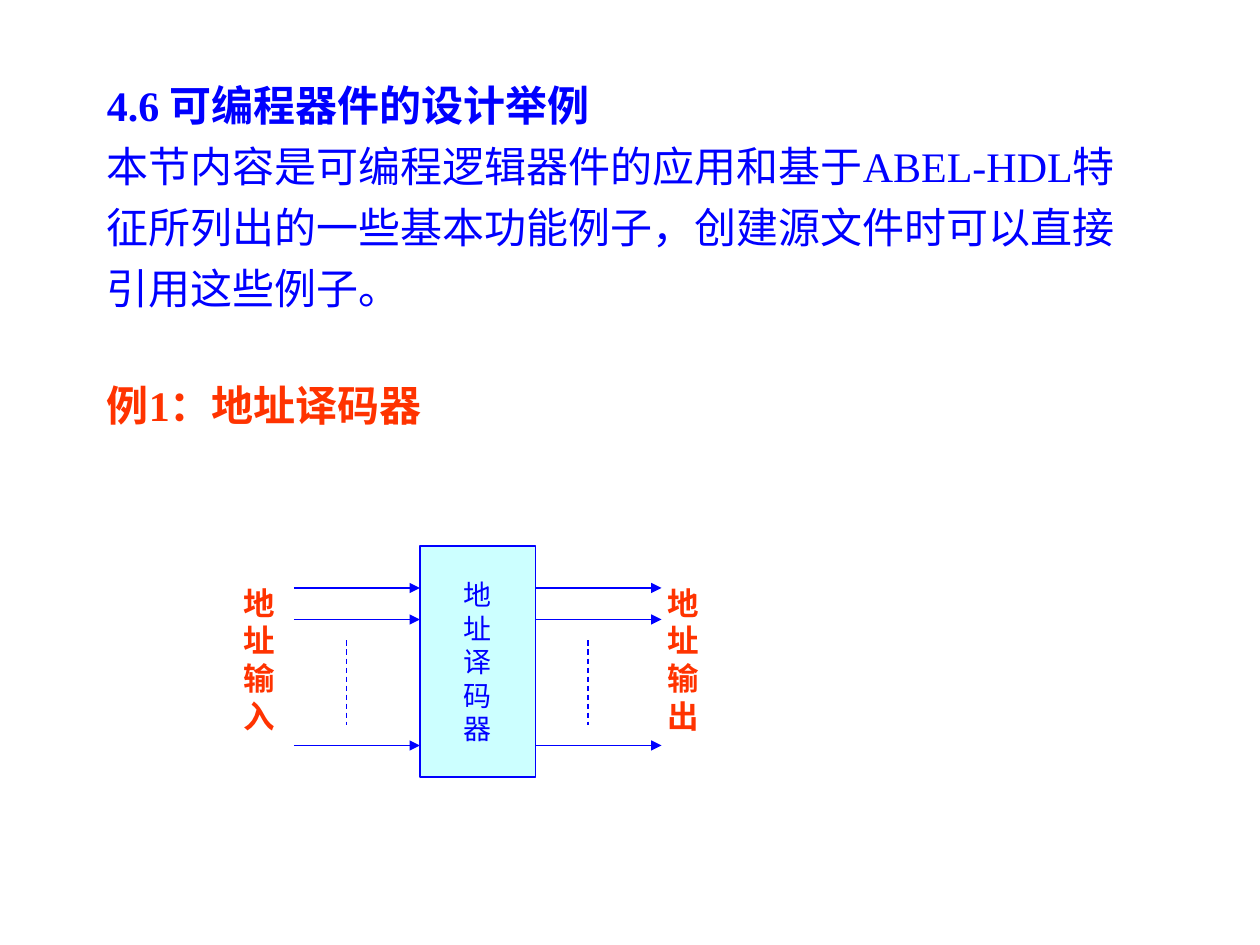
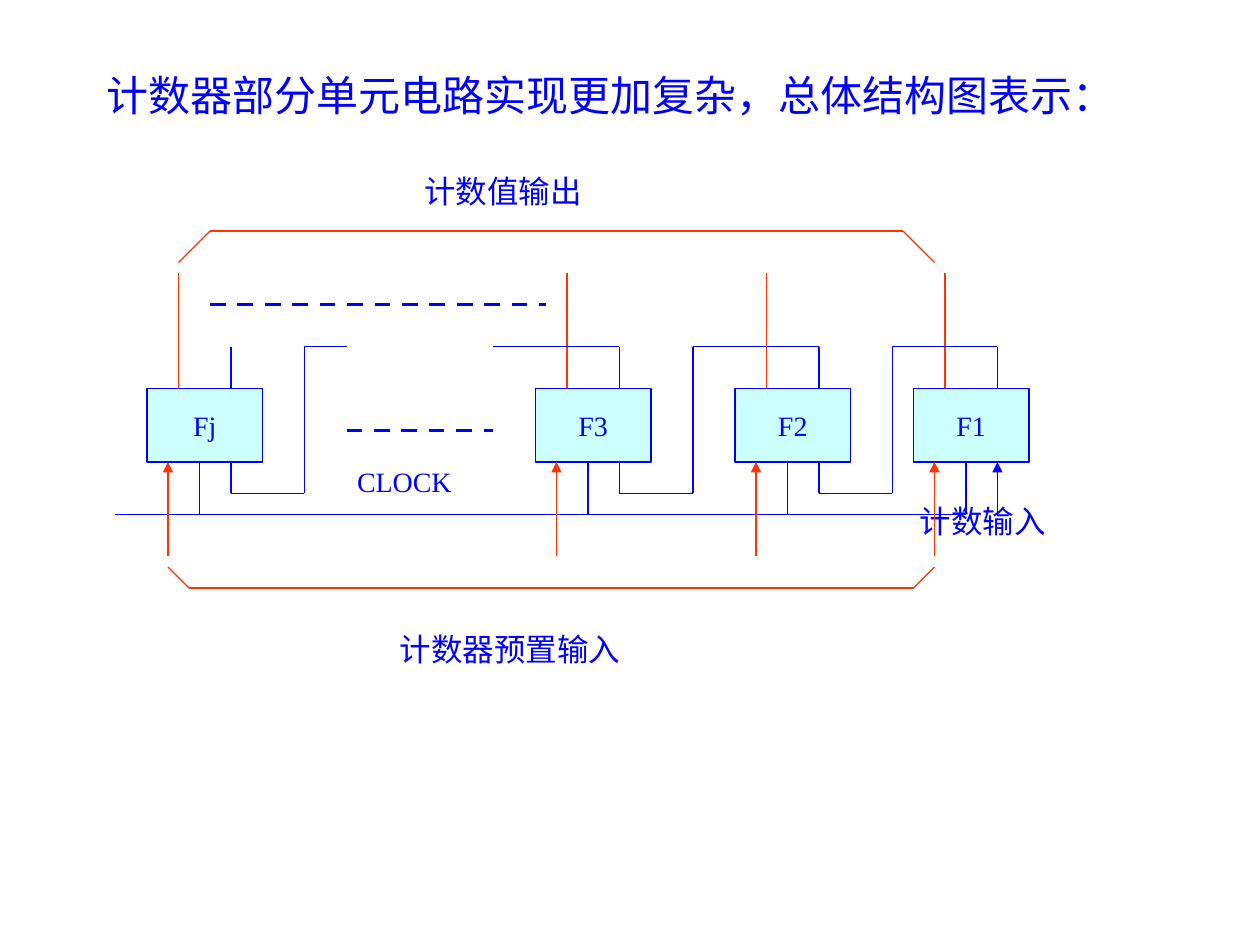
from dataclasses import dataclass
from itertools import pairwise

from lxml import etree
from pptx import Presentation
from pptx.dml.color import RGBColor
from pptx.enum.dml import MSO_LINE
from pptx.enum.shapes import MSO_CONNECTOR, MSO_SHAPE
from pptx.enum.text import MSO_ANCHOR, PP_ALIGN
from pptx.oxml.ns import qn
from pptx.slide import Slide
from pptx.util import Pt

STRAIGHT = MSO_CONNECTOR.STRAIGHT
RECTANGLE = MSO_SHAPE.RECTANGLE
DASH = MSO_LINE.DASH
CENTER = PP_ALIGN.CENTER
LEFT = PP_ALIGN.LEFT
MIDDLE = MSO_ANCHOR.MIDDLE

BLUE = RGBColor(0x00, 0x00, 0xFF)
RED = RGBColor(0xFF, 0x33, 0x00)
PALE_CYAN = RGBColor(0xCC, 0xFF, 0xFF)
FONT = "Times New Roman"
BODY_LEFT, BODY_WIDTH = 54, 612
THIN, THICK = 0.75, 2.25


@dataclass(frozen=True)
class Line:
    text: str
    size: float = 24
    color: RGBColor = BLUE
    bold: bool = False
    space_before: float = 0


@dataclass(frozen=True)
class Label:
    left: float
    top: float
    width: float
    height: float
    lines: list[Line]


@dataclass(frozen=True)
class Block:
    left: float
    top: float
    width: float
    height: float
    text: str


@dataclass(frozen=True)
class Wire:
    """A chain of straight segments through the given points."""
    points: list[tuple[float, float]]
    color: RGBColor = BLUE
    width: float = THIN
    arrow: bool = False
    dashed: bool = False


def stacked(text: str) -> str:
    """Put each character on a line of its own."""
    return "\n".join(text)


def fill_text(frame, lines: list[Line], align=LEFT) -> None:
    frame.text = "\n".join(line.text for line in lines)
    for paragraph, line in zip(frame.paragraphs, lines):
        paragraph.alignment = align
        if line.space_before:
            paragraph.space_before = Pt(line.space_before)
        for run in paragraph.runs:
            run.font.name = FONT
            run.font.size = Pt(line.size)
            run.font.bold = line.bold
            run.font.color.rgb = line.color


def draw_label(slide: Slide, label: Label) -> None:
    box = slide.shapes.add_textbox(
        Pt(label.left), Pt(label.top), Pt(label.width), Pt(label.height))
    box.text_frame.word_wrap = True
    fill_text(box.text_frame, label.lines)


def draw_block(slide: Slide, block: Block) -> None:
    shape = slide.shapes.add_shape(
        RECTANGLE, Pt(block.left), Pt(block.top), Pt(block.width), Pt(block.height))
    shape.shadow.inherit = False
    shape.fill.solid()
    shape.fill.fore_color.rgb = PALE_CYAN
    shape.line.color.rgb = BLUE
    shape.line.width = Pt(THIN)
    shape.text_frame.word_wrap = False
    shape.text_frame.vertical_anchor = MIDDLE
    fill_text(shape.text_frame, [Line(row, 16) for row in block.text.split("\n")], CENTER)


def draw_wire(slide: Slide, wire: Wire) -> None:
    for start, end in pairwise(wire.points):
        segment = slide.shapes.add_connector(STRAIGHT, *map(Pt, start + end))
        segment.line.color.rgb = wire.color
        segment.line.width = Pt(wire.width)
        if wire.dashed:
            segment.line.dash_style = DASH
        if wire.arrow:
            etree.SubElement(segment.line._get_or_add_ln(), qn("a:tailEnd"), type="triangle")
        etree.SubElement(segment._element.spPr, qn("a:effectLst"))


def draw_decoder(slide: Slide) -> None:
    draw_label(slide, Label(BODY_LEFT, 42, BODY_WIDTH, 408, [
        Line("4.6 可编程器件的设计举例", bold=True),
        Line("本节内容是可编程逻辑器件的应用和基于ABEL-HDL特", space_before=6),
        Line("征所列出的一些基本功能例子，创建源文件时可以直接", space_before=6),
        Line("引用这些例子。", space_before=6),
        Line("例1：地址译码器", color=RED, bold=True, space_before=38),
    ]))

    decoder = Block(240, 312, 66, 132, stacked("地址译码器"))
    draw_block(slide, decoder)
    wire_length = 72
    sides = [
        (decoder.left - wire_length, 30, 132, "地址输入"),
        (decoder.left + decoder.width, 30, 374.5, "地址输出"),
    ]
    for wire_left, dots_offset, label_left, name in sides:
        for y in (336, 354, 426):
            draw_wire(slide, Wire([(wire_left, y), (wire_left + wire_length, y)], arrow=True))
        dots_x = wire_left + dots_offset
        draw_wire(slide, Wire([(dots_x, 366), (dots_x, 414)], dashed=True))
        draw_label(slide, Label(label_left, 330, 36, 94,
                                [Line(char, 18, RED, True) for char in name]))


def draw_counter(slide: Slide) -> None:
    draw_label(slide, Label(BODY_LEFT, 36, BODY_WIDTH, 40,
                            [Line("计数器部分单元电路实现更加复杂，总体结构图表示：")]))
    captions = [
        (235.5, 95, "计数值输出", 18),
        (197, 262, "CLOCK", 16),
        (518.5, 283.5, "计数输入", 18),
        (221.5, 356.5, "计数器预置输入", 18),
    ]
    for left, top, text, size in captions:
        draw_label(slide, Label(left, top, 150, 29, [Line(text, size)]))

    cells = {"F1": 522, "F2": 420, "F3": 306, "Fj": 84}
    top, bottom, clock_y = 222, 264, 294
    carry_top, carry_bottom = 198, 282
    preset, output, clock, carry, riser = 12, 18, 30, 48, 90  # offsets from a cell's left

    wires = [Wire([(66, clock_y), (cells["F1"] + clock, clock_y)])]
    for name, left in cells.items():
        draw_block(slide, Block(left, top, 66, bottom - top, name))
        wires += [
            Wire([(left + clock, clock_y), (left + clock, bottom)]),
            Wire([(left + carry, carry_top), (left + carry, top)]),
            Wire([(left + output, top), (left + output, 156)], RED),
            Wire([(left + preset, 318), (left + preset, bottom)], RED, arrow=True),
        ]

    # Each carry runs under its cell, up, and on to the next cell or the gap.
    for name, carry_end in (("F2", cells["F1"] + carry),
                            ("F3", cells["F2"] + carry), ("Fj", 198)):
        left = cells[name]
        wires.append(Wire([
            (left + carry, bottom), (left + carry, carry_bottom),
            (left + riser, carry_bottom), (left + riser, carry_top),
            (carry_end, carry_top),
        ]))

    count_x = cells["F1"] + carry
    wires += [
        Wire([(cells["F3"] + carry, carry_top), (282, carry_top)]),
        Wire([(120, 174), (312, 174)], width=THICK, dashed=True),
        Wire([(198, 246), (282, 246)], width=THICK, dashed=True),
        Wire([(count_x, clock_y), (count_x, bottom)], arrow=True),
        Wire([(96, 324), (108, 336), (522, 336), (534, 324)], RED),
        Wire([(102, 150), (120, 132), (516, 132), (534, 150)], RED),
    ]
    for wire in wires:
        draw_wire(slide, wire)


def main() -> None:
    presentation = Presentation()
    presentation.slide_width, presentation.slide_height = Pt(720), Pt(540)
    blank = presentation.slide_layouts[6]
    for draw in (draw_decoder, draw_counter):
        draw(presentation.slides.add_slide(blank))
    presentation.save("out.pptx")


if __name__ == "__main__":
    main()
